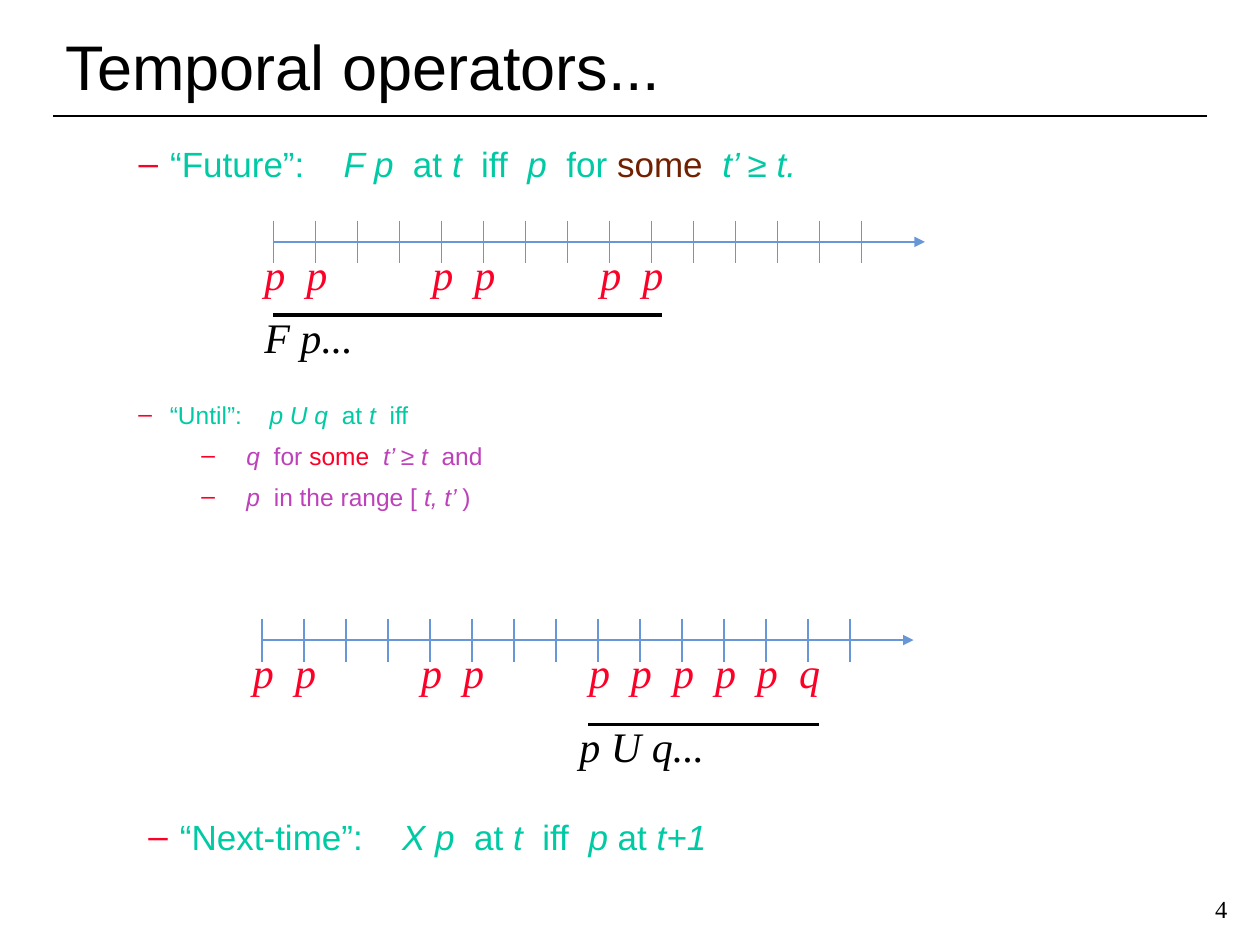
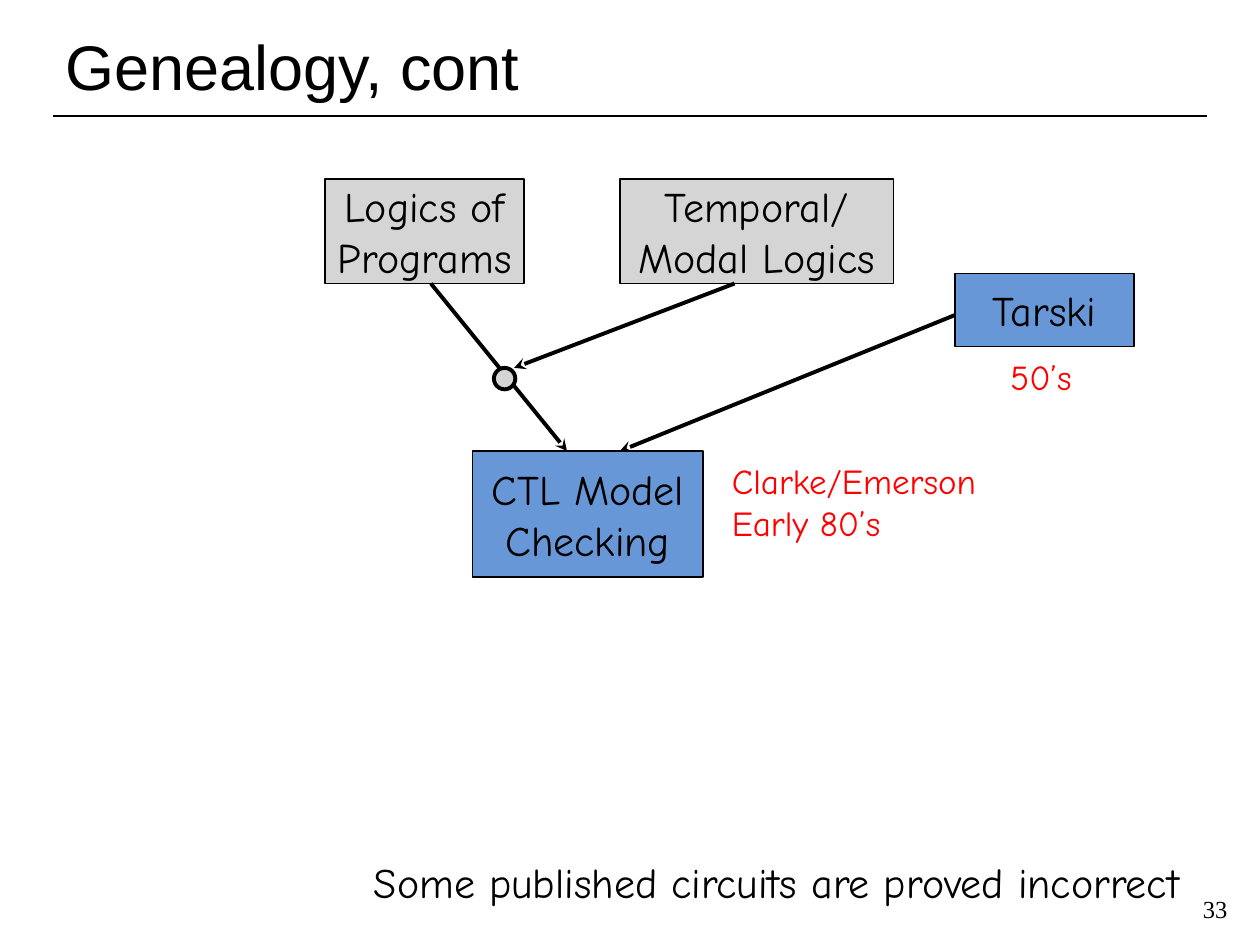
"""Builds two slides on temporal logic: its operators and its genealogy."""
from lxml import etree
from pptx import Presentation
from pptx.dml.color import RGBColor
from pptx.enum.shapes import MSO_CONNECTOR, MSO_SHAPE
from pptx.enum.text import MSO_ANCHOR, MSO_AUTO_SIZE, PP_ALIGN
from pptx.oxml.ns import qn
from pptx.util import Inches, Pt

STRAIGHT = MSO_CONNECTOR.STRAIGHT
RECTANGLE, OVAL = MSO_SHAPE.RECTANGLE, MSO_SHAPE.OVAL
LEFT, CENTER, RIGHT = PP_ALIGN.LEFT, PP_ALIGN.CENTER, PP_ALIGN.RIGHT
BOTTOM, MIDDLE = MSO_ANCHOR.BOTTOM, MSO_ANCHOR.MIDDLE
NO_AUTOFIT = MSO_AUTO_SIZE.NONE
TITLE_AND_BODY, TITLE_ONLY = 1, 5

BLACK = RGBColor(0x00, 0x00, 0x00)
BLUE = RGBColor(0x67, 0x97, 0xD7)
GRAY = RGBColor(0xD5, 0xD5, 0xD5)
CRIMSON = RGBColor(0xFC, 0x01, 0x28)
RED = RGBColor(0xFF, 0x00, 0x00)
GREEN = RGBColor(0x00, 0xCA, 0xA4)
PURPLE = RGBColor(0xBD, 0x41, 0xBA)
BROWN = RGBColor(0x71, 0x20, 0x00)

SANS, SERIF, COMIC = "Arial", "Times New Roman", "Comic Neue"
TICKS, STEP, LABEL_SHIFT = 15, 1 / 3, 0.17


def place(sp, left, top, width, height):
    """Move and size a shape, in inches."""
    sp.left, sp.top = Inches(left), Inches(top)
    sp.width, sp.height = Inches(width), Inches(height)


def add_run(p, text, size, font, color, italic=False):
    """Add one formatted run to a paragraph."""
    r = p.add_run()
    r.text = text
    r.font.size, r.font.name = Pt(size), font
    r.font.color.rgb = color
    r.font.italic = italic


def write_lines(tf, lines, size, font, color, align=LEFT, italic=False):
    """Write each line as a paragraph of one run."""
    for i, line in enumerate(lines):
        p = tf.add_paragraph() if i else tf.paragraphs[0]
        p.alignment = align
        add_run(p, line, size, font, color, italic)


def add_text(slide, box, lines, size, font, color, italic=False):
    """Add an unwrapped text box."""
    tf = slide.shapes.add_textbox(*map(Inches, box)).text_frame
    tf.word_wrap = False
    write_lines(tf, lines, size, font, color, italic=italic)


def add_line(slide, start, end, color, width, arrow=None):
    """Add a straight line, with an arrowhead at its end if one is named."""
    cx = slide.shapes.add_connector(STRAIGHT, *map(Inches, start + end))
    cx.line.color.rgb = color
    cx.line.width = Pt(width)
    spPr = cx._element.spPr
    if arrow:
        etree.SubElement(spPr.find(qn("a:ln")), qn("a:tailEnd"), type=arrow)
    etree.SubElement(spPr, qn("a:effectLst"))


def add_node(slide, kind, box, fill, width, lines=()):
    """Add a filled, outlined shape with centred lines of text."""
    sp = slide.shapes.add_shape(kind, *map(Inches, box))
    sp.shadow.inherit = False
    sp.fill.solid()
    sp.fill.fore_color.rgb = fill
    sp.line.color.rgb = BLACK
    sp.line.width = Pt(width)
    tf = sp.text_frame
    tf.word_wrap = False
    tf.vertical_anchor = MIDDLE
    write_lines(tf, lines, 24, COMIC, BLACK, CENTER)


def start_slide(prs, layout, title, number):
    """Add a slide with its title, rule and page number."""
    slide = prs.slides.add_slide(prs.slide_layouts[layout])
    add_line(slide, (0.42, 0.92), (9.58, 0.92), BLACK, 1)
    sp = slide.shapes.title
    place(sp, 0.42, 0.17, 8.88, 0.7)
    tf = sp.text_frame
    tf.auto_size = NO_AUTOFIT
    tf.vertical_anchor = BOTTOM
    write_lines(tf, [title], 36, SANS, BLACK)
    page = slide.shapes.add_textbox(*map(Inches, (9.42, 7, 0.42, 0.42)))
    tf = page.text_frame
    tf.word_wrap = True
    tf.vertical_anchor = MIDDLE
    write_lines(tf, [str(number)], 14, SERIF, BLACK, RIGHT)
    return slide


def format_bullet(p, level, spacing):
    """Give a paragraph its dash, indent and spacing."""
    p.level = level
    p.line_spacing = spacing
    p.space_before, p.space_after = Pt(2.5), Pt(7.5)
    pPr = p._p.get_or_add_pPr()
    pPr.set("marL", str(Inches(0.25 + 0.5 * level)))
    pPr.set("indent", str(Inches(-0.25)))
    buClr = etree.SubElement(pPr, qn("a:buClr"))
    etree.SubElement(buClr, qn("a:srgbClr"), val=str(CRIMSON))
    etree.SubElement(pPr, qn("a:buFont"), typeface=SANS)
    etree.SubElement(pPr, qn("a:buChar"), char="–")


def write_bullets(sp, bullets, size, accent=None, spacing=1.0):
    """Write (level, colour, text) bullets; every second piece between bars is italic."""
    tf = sp.text_frame
    tf.word_wrap = True
    tf.auto_size = NO_AUTOFIT
    for i, (level, color, text) in enumerate(bullets):
        p = tf.add_paragraph() if i else tf.paragraphs[0]
        format_bullet(p, level, spacing)
        for j, piece in enumerate(text.split("|")):
            if piece:
                shade = accent if piece.strip() == "some" else color
                add_run(p, piece, size, SANS, shade, j % 2 == 1)


def add_timeline(slide, left, y, marks):
    """Draw a ticked time axis; each non-blank character of marks labels its tick."""
    add_line(slide, (left, y), (left + 5.17, y), BLUE, 1, "triangle")
    for i in range(TICKS):
        x = left + i * STEP
        add_line(slide, (x, y - 0.17), (x, y + 0.17), BLUE, 1)
    for i, mark in enumerate(marks):
        if mark != " ":
            box = (left + i * STEP - LABEL_SHIFT, y, 0.36, 0.5)
            add_text(slide, box, [mark], 24, SERIF, CRIMSON, True)


def add_span(slide, left, right, y, label):
    """Underline the stretch of time where a formula holds and name it."""
    box = (left - LABEL_SHIFT, y - 0.08, 1.19, 0.5)
    add_text(slide, box, [label], 24, SERIF, BLACK, True)
    add_line(slide, (left, y), (right, y), BLACK, 2.25)


def build_operators(prs):
    """Build the slide on the operators Future, Until and Next-time."""
    slide = start_slide(prs, TITLE_AND_BODY, "Temporal operators...", 4)
    future = slide.placeholders[1]
    place(future, 0.5, 1.08, 9.17, 1.08)
    write_bullets(future, [
        (1, GREEN, "“Future”:    |F p|  at |t|  iff  |p|  for ||some  |t’ |≥ |t."),
    ], 20, BROWN)
    add_timeline(slide, 2.17, 1.92, "pp  pp  pp")
    add_span(slide, 2.17, 5.25, 2.5, "F p...")

    until = slide.shapes.add_textbox(*map(Inches, (0.5, 3.17, 9.17, 1.08)))
    write_bullets(until, [
        (1, GREEN, "“Until”:    |p U q|  at |t|  iff"),
        (2, PURPLE, "  |q|  for ||some  |t’ |≥ |t  |and"),
        (2, PURPLE, "|  p  |in the range [ |t, t’ |)"),
    ], 14, CRIMSON, 0.8)
    add_timeline(slide, 2.08, 5.08, "pp  pp  pppppq")
    add_span(slide, 4.67, 6.5, 5.75, "p U q...")

    next_time = slide.shapes.add_textbox(*map(Inches, (0.58, 6.42, 9.17, 0.5)))
    write_bullets(next_time, [
        (1, GREEN, "“Next-time”:    |X p|  at |t|  iff  |p| at |t+1"),
    ], 20)


def build_genealogy(prs):
    """Build the slide on the ancestors of CTL model checking."""
    slide = start_slide(prs, TITLE_ONLY, "Genealogy, cont", 33)
    for box, fill, lines in (
        ((2.58, 1.42, 1.58, 0.83), GRAY, ["Logics of", "Programs"]),
        ((4.92, 1.42, 2.17, 0.83), GRAY, ["Temporal/", "Modal Logics"]),
        ((3.75, 3.58, 1.83, 1), BLUE, ["CTL Model", "Checking"]),
        ((7.58, 2.17, 1.42, 0.58), BLUE, ["Tarski"]),
    ):
        add_node(slide, RECTANGLE, box, fill, 0.75, lines)

    add_line(slide, (3.42, 2.25), (4.5, 3.58), BLACK, 2.25, "stealth")
    add_node(slide, OVAL, (3.92, 2.92, 0.17, 0.17), GRAY, 2.25)
    add_line(slide, (5.83, 2.25), (4.08, 2.92), BLACK, 2.25, "stealth")
    add_line(slide, (7.58, 2.5), (4.92, 3.58), BLACK, 2.25, "stealth")

    for box, lines, size, color in (
        ((5.71, 3.6, 2.14, 0.77), ["Clarke/Emerson", "Early 80’s"], 20, RED),
        ((7.92, 2.77, 0.69, 0.44), ["50’s"], 20, RED),
        ((2.87, 6.75, 6.63, 0.5),
         ["Some published circuits are proved incorrect"], 24, BLACK),
    ):
        add_text(slide, box, lines, size, COMIC, color)


def main():
    """Build and save the presentation."""
    prs = Presentation()
    prs.slide_width, prs.slide_height = Inches(10), Inches(7.5)
    build_operators(prs)
    build_genealogy(prs)
    prs.save("out.pptx")


if __name__ == "__main__":
    main()
